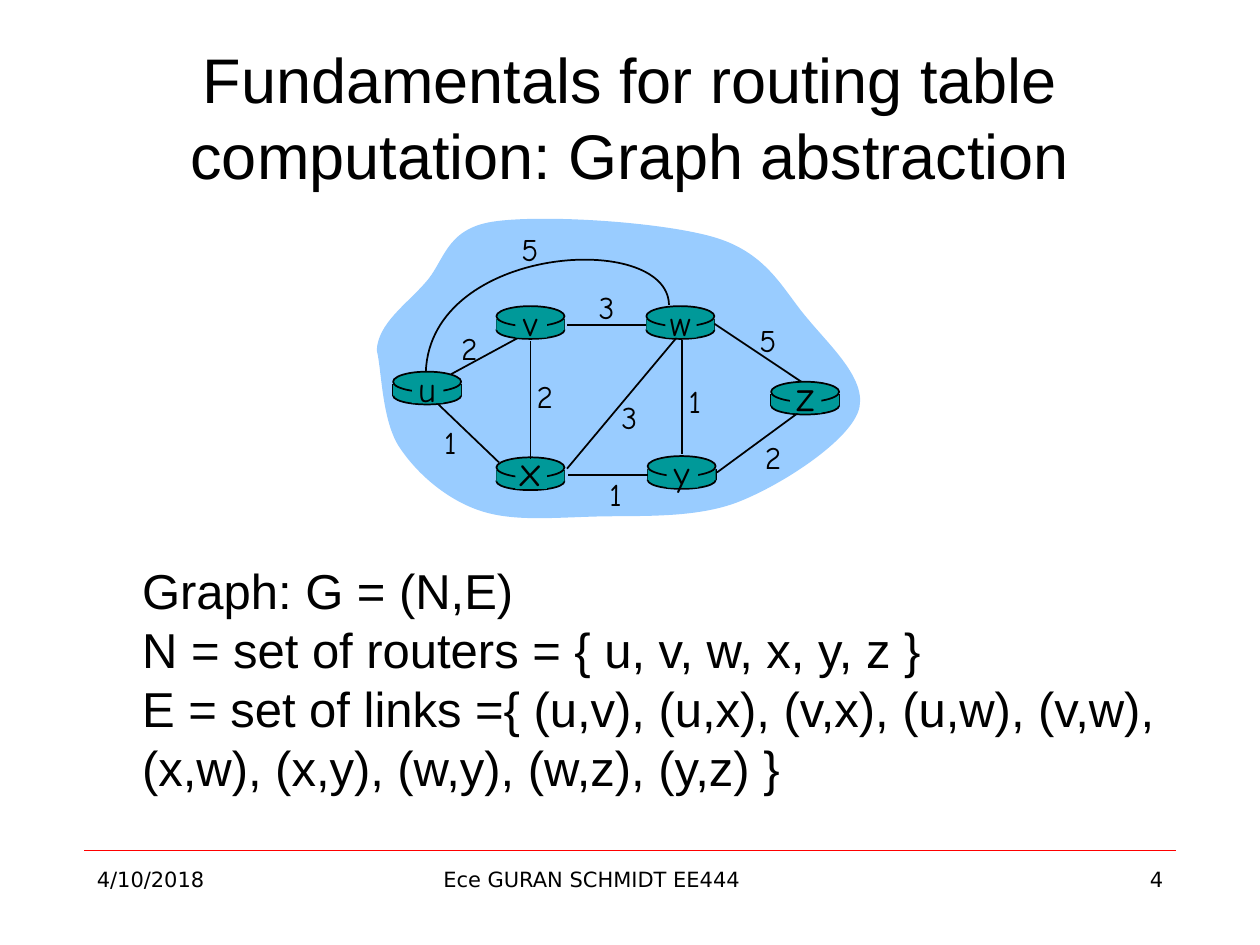
from pptx import Presentation
from pptx.dml.color import RGBColor
from pptx.enum.shapes import MSO_CONNECTOR as Connector, MSO_SHAPE as Shape
from pptx.enum.text import MSO_ANCHOR as Anchor, MSO_AUTO_SIZE as AutoSize, PP_ALIGN as Align
from pptx.oxml.ns import qn
from pptx.util import Inches, Pt
from lxml.etree import SubElement

BLACK = RGBColor(0x00, 0x00, 0x00)
RED = RGBColor(0xFF, 0x00, 0x00)
SKY = RGBColor(0x99, 0xCC, 0xFF)
TEAL = RGBColor(0x00, 0x99, 0x99)

TITLE_FONT = {"name": "Arial", "size": Pt(36)}
BODY_FONT = {"name": "Arial", "size": Pt(28)}
FOOTER_FONT = {"name": "DejaVu Sans", "size": Pt(12)}
COST_FONT = {"name": "Comic Neue", "size": Pt(18)}
ROUTER_FONT = {"name": "Comic Neue", "size": Pt(20)}
LARGE_ROUTER_FONT = {"name": "Comic Neue", "size": Pt(24)}

CLOUD = [
    (0, 1.08),
    (0.01, 0.87), (0.23, 0.72), (0.38, 0.55),
    (0.54, 0.38), (0.54, 0.12), (0.92, 0.06),
    (1.31, 0), (2.28, 0.06), (2.7, 0.19),
    (3.11, 0.32), (3.23, 0.61), (3.42, 0.83),
    (3.61, 1.06), (3.91, 1.33), (3.82, 1.57),
    (3.73, 1.81), (3.23, 2.14), (2.88, 2.28),
    (2.53, 2.42), (2.07, 2.39), (1.73, 2.4),
    (1.38, 2.41), (1.07, 2.44), (0.81, 2.35),
    (0.55, 2.26), (0.32, 2.06), (0.18, 1.85),
    (0.04, 1.64), (0.04, 1.24), (0, 1.08),
]
ARC_U_W = [(2.32, 0.72), (2.31, 0.13), (0.43, 0.24), (0.39, 1.25)]
LINK_U_V = ((0.59, 1.27), (1.18, 0.95))
LINKS = [
    ((2.42, 1), (2.42, 1.9)),
    ((1.22, 1.01), (1.22, 1.94)),
    ((1.51, 2.02), (2.38, 0.98)),
    ((2.7, 2.05), (3.34, 1.58)),
    ((2.15, 2.07), (1.52, 2.07)),
    ((0.97, 1.97), (0.49, 1.51)),
    ((2.14, 0.88), (1.51, 0.88)),
    ((3.37, 1.33), (2.68, 0.87)),
]
ROUTERS = [
    ("u", 0.13, 1.25, ROUTER_FONT),
    ("x", 0.95, 1.93, LARGE_ROUTER_FONT),
    ("v", 0.95, 0.73, ROUTER_FONT),
    ("w", 2.14, 0.73, ROUTER_FONT),
    ("y", 2.15, 1.92, ROUTER_FONT),
    ("z", 3.13, 1.33, LARGE_ROUTER_FONT),
]
COSTS = [
    ("2", 0.74, 1.06), ("2", 1.34, 1.44), ("1", 0.59, 1.81),
    ("3", 2.01, 1.61), ("1", 1.9, 2.22), ("1", 2.53, 1.48),
    ("2", 3.15, 1.93), ("5", 3.11, 1), ("3", 1.83, 0.74),
    ("5", 1.22, 0.28),
]


def add_text(shapes, box, lines, font, align=Align.LEFT, anchor=Anchor.TOP, wrap=True):
    frame = shapes.add_textbox(*map(Inches, box)).text_frame
    frame.word_wrap = wrap
    frame.auto_size = AutoSize.NONE if wrap else AutoSize.SHAPE_TO_FIT_TEXT
    frame.vertical_anchor = anchor
    for index, line in enumerate(lines):
        paragraph = frame.add_paragraph() if index else frame.paragraphs[0]
        paragraph.alignment = align
        run = paragraph.add_run()
        run.text = line
        run.font.color.rgb = BLACK
        for key, value in font.items():
            setattr(run.font, key, value)


def add_line(shapes, start, end, color=BLACK, width=1):
    line = shapes.add_connector(Connector.STRAIGHT, *map(Inches, (*start, *end)))
    line.line.color.rgb = color
    line.line.width = Pt(width)
    SubElement(line._element.spPr, qn("a:effectLst"))


def paint(shape, fill, outlined):
    shape.shadow.inherit = False
    if fill is None:
        shape.fill.background()
    else:
        shape.fill.solid()
        shape.fill.fore_color.rgb = fill
    if outlined:
        shape.line.color.rgb = BLACK
        shape.line.width = Pt(1)
    else:
        shape.line.fill.background()


def add_curve(shapes, left, top, controls, fill=None, closed=False):
    points = [(Inches(left + x), Inches(top + y)) for x, y in controls]
    builder = shapes.build_freeform(*points[0])
    builder.add_line_segments(points[1:], close=closed)
    curve = builder.convert_to_shape()
    segments = list(curve._element.iter(qn("a:lnTo")))[:len(controls) - 1]
    for first in range(0, len(segments), 3):
        bezier = segments[first].makeelement(qn("a:cubicBezTo"))
        segments[first].addprevious(bezier)
        for segment in segments[first:first + 3]:
            bezier.append(segment[0])
            segment.getparent().remove(segment)
    paint(curve, fill, outlined=not closed)


def add_router_part(shapes, kind, box, outlined):
    paint(shapes.add_shape(kind, *map(Inches, box)), TEAL, outlined)


def add_router(shapes, box):
    left, top, width, height = box
    add_router_part(shapes, Shape.OVAL, (left, top + height - 0.14, width, 0.14), True)
    for side in (left, left + width):
        add_line(shapes, (side, top + 0.1), (side, top + 0.19))
    add_router_part(shapes, Shape.RECTANGLE, (left, top + 0.1, width, 0.09), False)
    add_router_part(shapes, Shape.OVAL, (left, top, width, 0.16), True)


def add_router_label(shapes, box, name, font):
    left, top, width = box[:3]
    add_router_part(shapes, Shape.RECTANGLE, (left + 0.15, top + 0.02, 0.25, 0.23), False)
    label_height = font["size"].inches * 1.2 + 0.1
    label_box = (left + width / 2 - 0.2, top + 0.35 - label_height, 0.4, label_height)
    add_text(shapes, label_box, [name], font, Align.CENTER, wrap=False)


def add_network(slide, box):
    left, top = box[:2]
    shapes = slide.shapes.add_group_shape().shapes

    def add_link(link):
        add_line(shapes, *((left + x, top + y) for x, y in link))

    add_curve(shapes, left, top, CLOUD, SKY, closed=True)
    add_link(LINK_U_V)
    router_boxes = [(left + x, top + y, 0.54, 0.26) for _, x, y, _ in ROUTERS]
    for router_box in router_boxes:
        add_router(shapes, router_box)
    for link in LINKS:
        add_link(link)
    add_curve(shapes, left, top, ARC_U_W)
    for router_box, (name, _, _, font) in zip(router_boxes, ROUTERS):
        add_router_label(shapes, router_box, name, font)
    for cost, x, y in COSTS:
        cost_box = (left + x - 0.18, top + y - 0.2, 0.35, 0.4)
        add_text(shapes, cost_box, [cost], COST_FONT, Align.CENTER, wrap=False)


def add_title(slide, box):
    title = "Fundamentals for routing table computation: Graph abstraction"
    add_text(slide.shapes, box, [title], TITLE_FONT, Align.CENTER, Anchor.MIDDLE)


def add_definitions(slide, box):
    lines = [
        "Graph: G = (N,E)",
        "N = set of routers = { u, v, w, x, y, z }",
        "E = set of links ={ (u,v), (u,x), (v,x), (u,w), (v,w),",
        "(x,w), (x,y), (w,y), (w,z), (y,z) }",
    ]
    add_text(slide.shapes, box, lines, BODY_FONT, wrap=False)


def add_footer(slide, box):
    left, top, width, height = box
    add_line(slide.shapes, (left, top), (left + width, top), RED, 0.25)
    fields = [
        ("4/10/2018", 0, 2.17, Align.LEFT),
        ("Ece GURAN SCHMIDT EE444", 2.75, 3.17, Align.LEFT),
        ("4", width - 2.17, 2.17, Align.RIGHT),
    ]
    for text, x, field_width, align in fields:
        field_box = (left + x, top + 0.08, field_width, height - 0.08)
        add_text(slide.shapes, field_box, [text], FOOTER_FONT, align)


def main():
    deck = Presentation()
    deck.slide_width, deck.slide_height = Inches(10), Inches(7.5)
    slide = deck.slides.add_slide(deck.slide_layouts[6])
    add_footer(slide, (0.67, 6.75, 8.66, 0.6))
    add_network(slide, (2.99, 1.7, 3.91, 2.45))
    add_definitions(slide, (1.03, 4.4, 8.44, 1.99))
    add_title(slide, (0.5, 0.3, 9, 1.25))
    deck.save("out.pptx")


if __name__ == "__main__":
    main()
